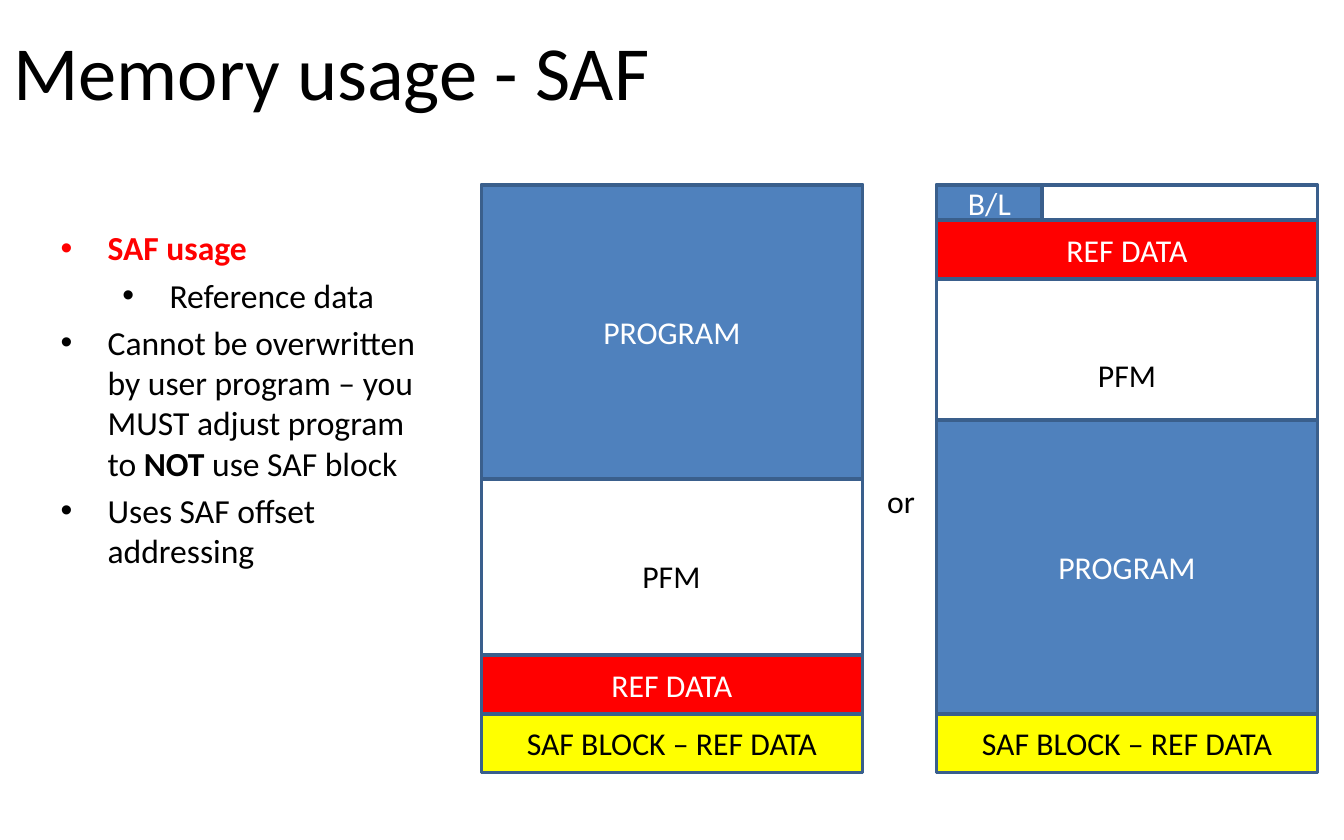
import pptx
import pptx.util
import pptx.dml.color
import pptx.enum.shapes
import pptx.enum.text
import pptx.oxml
import pptx.oxml.ns
from pptx.util import Cm

BLUE, RED, YELLOW = "4F81BD", "FF0000", "FFFF00"
WHITE, BLACK, EDGE = "FFFFFF", "000000", "3A5F8C"


def color(value):
    return pptx.dml.color.RGBColor.from_string(value)


class MemorySlide:
    font = "Calibri"
    label_size = 17

    def __init__(self, deck):
        self.slide = deck.slides.add_slide(deck.slide_layouts[1])

    def run(self, paragraph, text, size, ink=BLACK, bold=False):
        run = paragraph.add_run()
        run.text = text
        run.font.name = self.font
        run.font.size = pptx.util.Pt(size)
        run.font.bold = bold
        run.font.color.rgb = color(ink)

    def place(self, holder, left, top, width, height, anchor):
        holder.left, holder.top = Cm(left), Cm(top)
        holder.width, holder.height = Cm(width), Cm(height)
        frame = holder.text_frame
        frame.word_wrap = True
        frame.auto_size = pptx.enum.text.MSO_AUTO_SIZE.NONE
        frame.vertical_anchor = anchor
        return frame

    def title(self, text, *box):
        frame = self.place(self.slide.shapes.title, *box,
                           pptx.enum.text.MSO_ANCHOR.MIDDLE)
        heading = frame.paragraphs[0]
        heading.alignment = pptx.enum.text.PP_ALIGN.LEFT
        self.run(heading, text, 41)

    def bullets(self, points, *box):
        frame = self.place(self.slide.placeholders[1], *box,
                           pptx.enum.text.MSO_ANCHOR.TOP)
        for index, (level, runs) in enumerate(points):
            point = frame.add_paragraph() if index else frame.paragraphs[0]
            point.level = level
            properties = point._p.get_or_add_pPr()
            properties.set("marL", str(Cm(0.89 + 1.17 * level)))
            properties.set("indent", str(Cm(-0.89)))
            properties.append(pptx.oxml.parse_xml(
                f'<a:buChar {pptx.oxml.ns.nsdecls("a")} char="\u2022"/>'))
            for text, ink, bold in runs:
                self.run(point, text, 18, ink, bold)

    def block(self, left, top, width, height, fill, text="", ink=WHITE):
        block = self.slide.shapes.add_shape(
            pptx.enum.shapes.MSO_SHAPE.RECTANGLE,
            Cm(left), Cm(top), Cm(width), Cm(height))
        block.shadow.inherit = False
        block.fill.solid()
        block.fill.fore_color.rgb = color(fill)
        block.line.color.rgb = color(EDGE)
        block.line.width = pptx.util.Pt(2)
        if text:
            block.text_frame.vertical_anchor = pptx.enum.text.MSO_ANCHOR.MIDDLE
            caption = block.text_frame.paragraphs[0]
            caption.alignment = pptx.enum.text.PP_ALIGN.CENTER
            self.run(caption, text, self.label_size, ink)

    def label(self, text, left, top, width):
        frame = self.slide.shapes.add_textbox(
            Cm(left), Cm(top), Cm(width), Cm(0.99)).text_frame
        frame.word_wrap = False
        frame.auto_size = pptx.enum.text.MSO_AUTO_SIZE.SHAPE_TO_FIT_TEXT
        self.run(frame.paragraphs[0], text, self.label_size)


deck = pptx.Presentation()
deck.slide_width, deck.slide_height = Cm(25.4), Cm(25.4 * 5 / 8)
usage = MemorySlide(deck)

usage.title("Memory usage - SAF", 0, 0, 22.86, 2.64)
usage.bullets([
    (0, [("SAF usage", RED, True)]),
    (1, [("Reference data", BLACK, False)]),
    (0, [("Cannot be overwritten by user program \u2013 you MUST adjust program to ",
          BLACK, False),
         ("NOT", BLACK, True),
         (" use SAF block", BLACK, False)]),
    (0, [("Uses SAF offset addressing", BLACK, False)]),
], 0.89, 4.17, 7.39, 3.1)

memory_top, memory_width, unit = 3.5, 7.2, 1.11
boot_height = 0.66
layouts = [
    (9.1, 0, 8 * unit, 11.89, 10.39),
    (17.7, 4 * unit, boot_height, 20.5, 6.6),
]
for left, program, ref_data, pfm_left, pfm_top in layouts:
    for offset, height, fill, text, ink in [
        (0, 10 * unit, WHITE, "", BLACK),
        (program, 5 * unit, BLUE, "PROGRAM", WHITE),
        (ref_data, unit, RED, "REF DATA", WHITE),
        (9 * unit, unit, YELLOW, "SAF BLOCK \u2013 REF DATA", BLACK),
    ]:
        usage.block(left, memory_top + offset, memory_width, height, fill, text, ink)
    usage.label("PFM", pfm_left, pfm_top, 1.63)

usage.block(17.7, memory_top, 2, boot_height, BLUE, "B/L")
usage.label(" or", 16.38, 8.99, 1.17)

deck.save("out.pptx")
